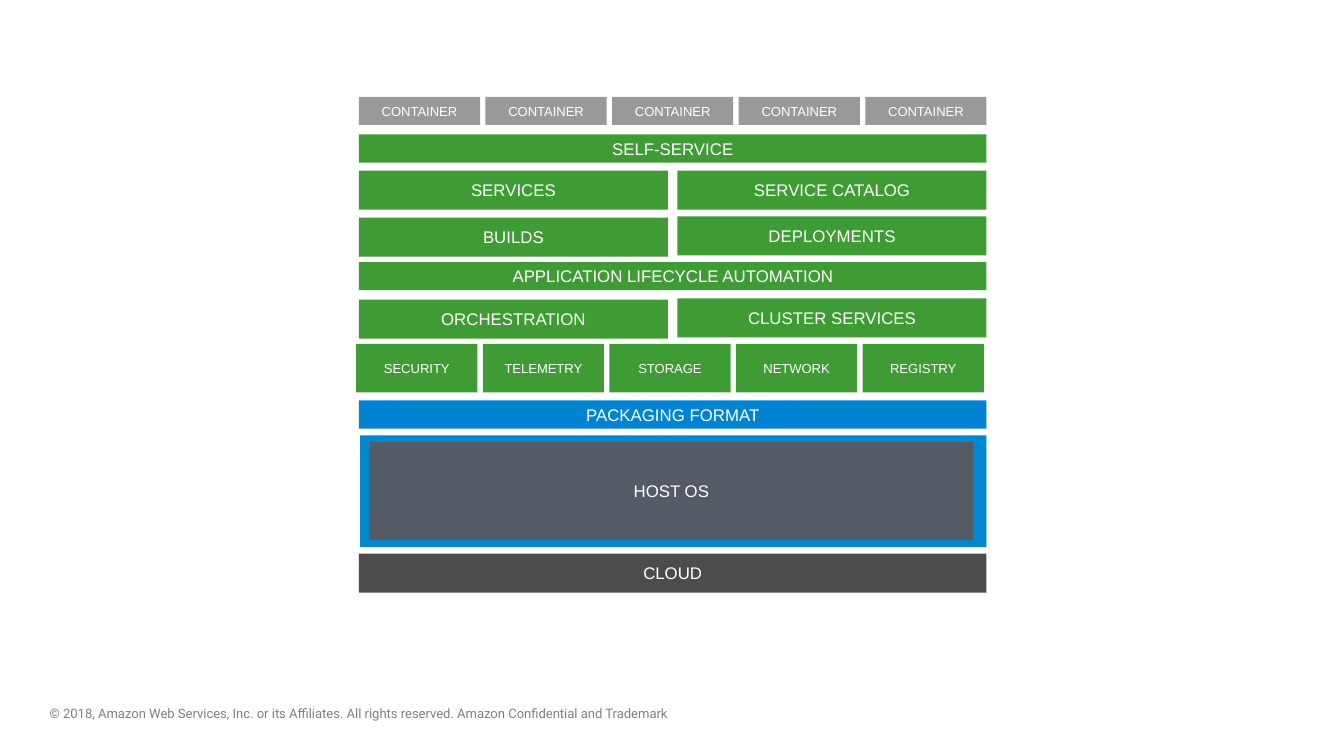
from dataclasses import dataclass

from pptx import Presentation
from pptx.dml.color import RGBColor
from pptx.enum.shapes import MSO_SHAPE
from pptx.enum.text import MSO_ANCHOR, PP_ALIGN
from pptx.shapes.shapetree import GroupShapes, SlideShapes
from pptx.util import Inches, Pt

RECTANGLE = MSO_SHAPE.RECTANGLE
MIDDLE = MSO_ANCHOR.MIDDLE
CENTER = PP_ALIGN.CENTER

COLORS = {
    "container": "999999",
    "platform": "3F9C35",
    "packaging": "0084D1",
    "host_frame": "0088CE",
    "host": "545B64",
    "cloud": "4C4C4C",
    "label": "FFFFFF",
    "copyright": "808080",
}

# Widescreen slide and stack grid, in inches
SLIDE_WIDTH = 10
SLIDE_HEIGHT = SLIDE_WIDTH * 9 / 16
STACK_LEFT, STACK_WIDTH = 2.67, 4.67
THIN, MEDIUM, TALL = 0.21, 0.29, 0.36
COLUMN_GAPS = {1: 0, 2: 0.07, 5: 0.04}
LABEL_SIZES = {1: 9, 2: 9, 5: 7}


@dataclass(frozen=True)
class Layer:
    top: float
    height: float
    color: str
    labels: tuple[str, ...]
    shift: float = 0  # sideways offset of the whole layer
    rise: float = 0  # how much higher each next column sits
    grouped: bool = False


# From back to front
CLOUD = Layer(4.12, MEDIUM, "cloud", ("CLOUD",))
PLATFORM = (
    Layer(2.23, MEDIUM, "platform", ("ORCHESTRATION", "CLUSTER SERVICES"),
          rise=0.01, grouped=True),
    Layer(1.27, MEDIUM, "platform", ("SERVICES", "SERVICE CATALOG"), grouped=True),
    Layer(1.0, THIN, "platform", ("SELF-SERVICE",)),
    Layer(1.95, THIN, "platform", ("APPLICATION LIFECYCLE AUTOMATION",)),
    Layer(1.62, MEDIUM, "platform", ("BUILDS", "DEPLOYMENTS"),
          rise=0.01, grouped=True),
    Layer(2.98, THIN, "packaging", ("PACKAGING FORMAT",)),
    Layer(0.72, THIN, "container", ("CONTAINER",) * 5, grouped=True),
)
FOUNDATION = Layer(2.56, TALL, "platform",
                   ("SECURITY", "TELEMETRY", "STORAGE", "NETWORK", "REGISTRY"),
                   shift=-0.02)


def rgb(name: str) -> RGBColor:
    return RGBColor.from_string(COLORS[name])


def draw_block(shapes: SlideShapes | GroupShapes, left: float, top: float,
               width: float, height: float, color: str,
               label: str = "", size: float = 9) -> None:
    block = shapes.add_shape(
        RECTANGLE, Inches(left), Inches(top), Inches(width), Inches(height))
    block.shadow.inherit = False
    block.fill.solid()
    block.fill.fore_color.rgb = rgb(color)
    block.line.fill.background()
    if not label:
        return
    frame = block.text_frame
    frame.text = label
    frame.word_wrap = True
    frame.vertical_anchor = MIDDLE
    frame.margin_left = frame.margin_right = Inches(0.1)
    frame.margin_top = frame.margin_bottom = Inches(0.1)
    paragraph = frame.paragraphs[0]
    paragraph.alignment = CENTER
    font = paragraph.runs[0].font
    font.name, font.size = "Arial", Pt(size)
    font.color.rgb = rgb("label")


def draw_layer(shapes: SlideShapes, layer: Layer) -> None:
    target = shapes.add_group_shape().shapes if layer.grouped else shapes
    count = len(layer.labels)
    gap = COLUMN_GAPS[count]
    width = (STACK_WIDTH - gap * (count - 1)) / count
    for column, label in enumerate(layer.labels):
        left = STACK_LEFT + layer.shift + column * (width + gap)
        draw_block(target, left, layer.top - column * layer.rise, width,
                   layer.height, layer.color, label, LABEL_SIZES[count])


def draw_copyright(shapes: SlideShapes) -> None:
    notice = shapes.add_textbox(
        Inches(0.37), Inches(5.25), Inches(4.86), Inches(0.12))
    frame = notice.text_frame
    frame.text = ("© 2018, Amazon Web Services, Inc. or its Affiliates. "
                  "All rights reserved. Amazon Confidential and Trademark")
    frame.word_wrap = True
    frame.margin_left = frame.margin_right = 0
    frame.margin_top = frame.margin_bottom = 0
    font = frame.paragraphs[0].runs[0].font
    font.name, font.size = "Roboto", Pt(7)
    font.color.rgb = rgb("copyright")


def main() -> None:
    deck = Presentation()
    deck.slide_width, deck.slide_height = Inches(SLIDE_WIDTH), Inches(SLIDE_HEIGHT)
    shapes = deck.slides.add_slide(deck.slide_layouts[6]).shapes

    # Footer
    draw_copyright(shapes)

    # Cloud base and host frame
    draw_layer(shapes, CLOUD)
    draw_block(shapes, 2.68, 3.24, 4.66, 0.83, "host_frame")

    # Platform layers
    for layer in PLATFORM:
        draw_layer(shapes, layer)

    # Host system and the services right above it
    draw_block(shapes, 2.75, 3.29, 4.49, 0.73, "host", "HOST OS")
    draw_layer(shapes, FOUNDATION)

    deck.save("out.pptx")


if __name__ == "__main__":
    main()
